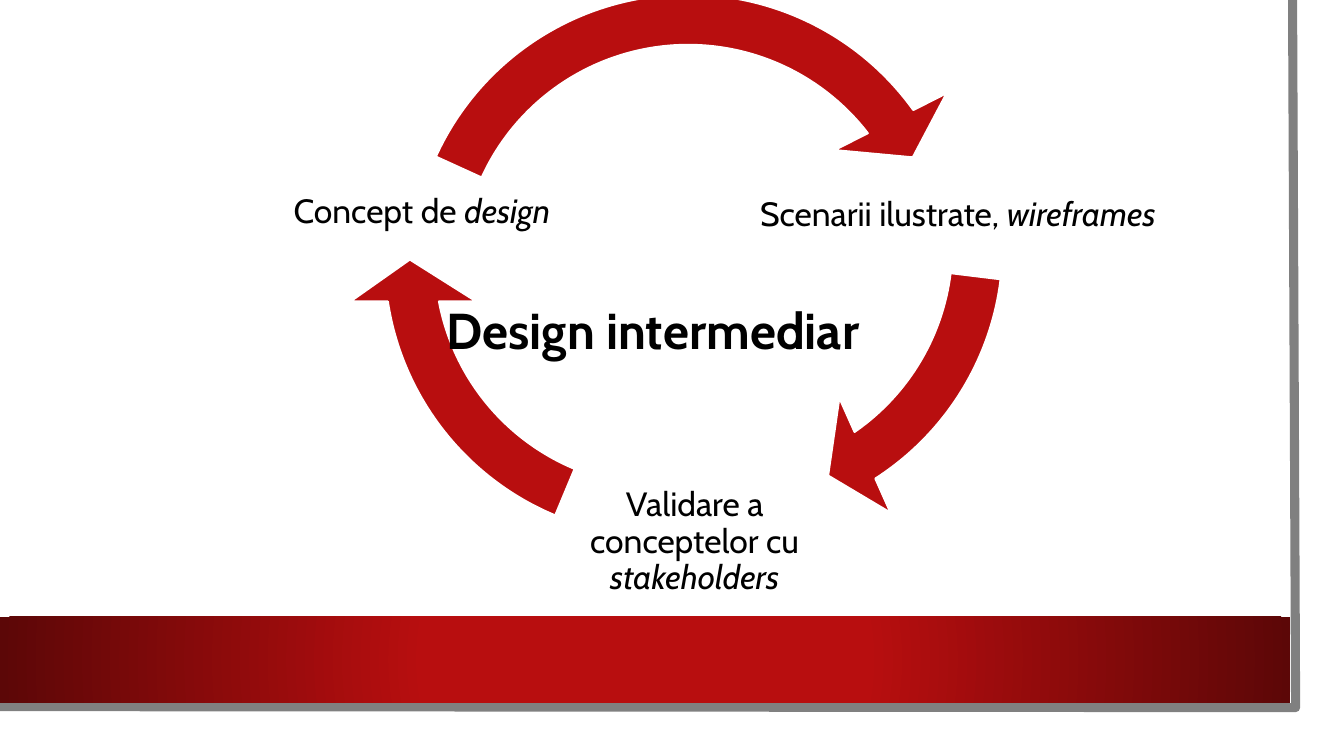
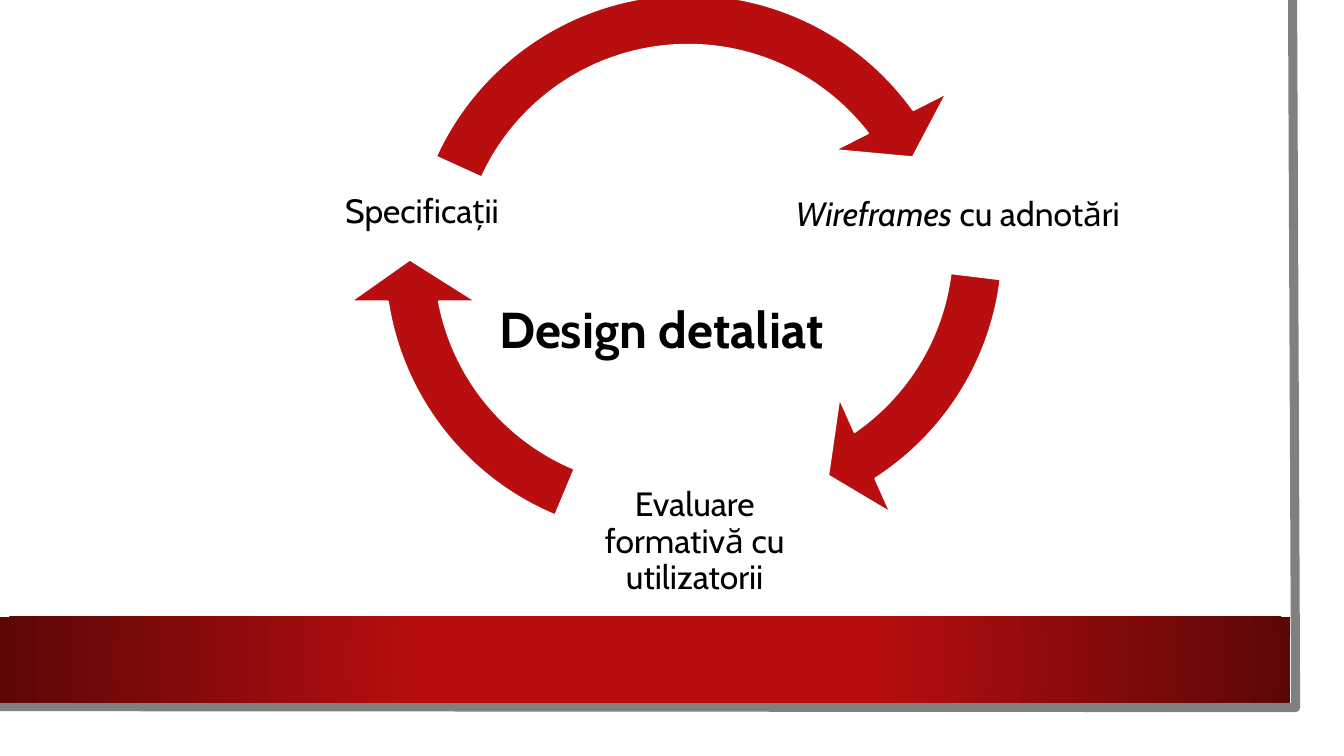
from dataclasses import dataclass

from lxml import etree
from pptx import Presentation
from pptx.dml.color import RGBColor
from pptx.enum import shapes, text
from pptx.oxml import ns
from pptx.util import Inches, Pt


@dataclass(frozen=True)
class Theme:
    font: str = "Cabin"
    paper: RGBColor = RGBColor.from_string("FFFFFF")
    ink: RGBColor = RGBColor.from_string("000000")
    red: RGBColor = RGBColor.from_string("B80E0F")
    dark_red: RGBColor = RGBColor.from_string("5C0707")
    edge: RGBColor = RGBColor.from_string("808080")
    title_size: float = 36
    label_size: float = 24


theme = Theme()


def write(box, words, size=theme.label_size, bold=False, inset=0.03,
          align=text.PP_ALIGN.CENTER, anchor=text.MSO_ANCHOR.MIDDLE):
    """Fill a box with one paragraph; words between asterisks are italic."""
    frame = box.text_frame
    frame.word_wrap = True
    frame.auto_size = text.MSO_AUTO_SIZE.NONE
    frame.vertical_anchor = anchor
    frame.margin_left = frame.margin_right = Inches(inset)
    frame.margin_top = frame.margin_bottom = Inches(min(inset, 0.05))
    para = frame.paragraphs[0]
    para.alignment = align
    para.line_spacing = 0.9
    for index, part in enumerate(words.split("*")):
        if part:
            span = para.add_run()
            span.text = part
            span.font.name = theme.font
            span.font.size = Pt(size)
            span.font.bold = bold
            span.font.italic = index % 2 == 1
            span.font.color.rgb = theme.ink


def add_block(page, kind, left, top, width, height, color):
    block = page.shapes.add_shape(
        kind, Inches(left), Inches(top), Inches(width), Inches(height))
    block.shadow.inherit = False
    block.fill.solid()
    block.fill.fore_color.rgb = color
    block.line.fill.background()
    return block


deck = Presentation()
deck.slide_width, deck.slide_height = Inches(13.33), Inches(7.5)
layout = deck.slide_layouts[5]

cycles = [
    {"title": "Design intermediar", "title_at": (4.33, 2.58),
     "labels": ["Scenarii ilustrate, *wireframes*",
                "Validare a conceptelor cu *stakeholders*",
                "Concept de *design*"]},
    {"title": "Design detaliat", "title_at": (4.85, 2.57),
     "labels": ["*Wireframes* cu adnotări",
                "Evaluare formativă cu utilizatorii",
                "Specificații"]},
]
label_places = [(7.05, 1.53, 4.9, 1.21), (5.57, 4.7, 2.64, 1.36), (2.56, 1.63, 3.25, 0.95)]

# left, top, end angle and start angle in degrees
arrow_size = 6.25
arrows = [(4.07, -0.69, 56.38, 7.01), (3.44, -0.55, 170.42, 112.62), (3.7, -0.43, 323.45, 204.51)]
head_angle = 9.59
degree = 0.6  # one degree as an adjustment value

pages = [deck.slides.add_slide(layout) for cycle in cycles]

# Shared frame: drawn once, then moved to the layout
first = pages[0]
paper = add_block(first, shapes.MSO_SHAPE.RECTANGLE, 0, 0, 13.1, 7.27, theme.paper)

builder = first.shapes.build_freeform(Inches(12.82), 0)
builder.add_line_segments(
    [(Inches(12.85), Inches(7.02)), (Inches(-0.03), Inches(7.01))], close=False)
edge = builder.convert_to_shape()
edge.shadow.inherit = False
edge.fill.background()
edge.line.color.rgb = theme.edge
edge.line.width = Pt(6.5)

band = add_block(first, shapes.MSO_SHAPE.RECTANGLE, 0, 6.12, 12.8, 0.85, theme.red)
band.fill.gradient()
stops = band.fill.gradient_stops
for stop, color, position in zip(stops, (theme.red, theme.dark_red), (0.34, 1)):
    stop.color.rgb = color
    stop.position = position
gradient = band.element.spPr.find(ns.qn("a:gradFill"))
gradient.remove(gradient.find(ns.qn("a:lin")))
circle = etree.SubElement(gradient, ns.qn("a:path"), path="circle")
etree.SubElement(circle, ns.qn("a:fillToRect"), l="50000", t="50000", r="50000", b="50000")

for index, part in enumerate((paper, edge, band)):
    layout.shapes.element.insert(2 + index, part.element)

for page, cycle in zip(pages, cycles):
    for words, place, (left, top, end, start) in zip(cycle["labels"], label_places, arrows):
        label = page.shapes.add_textbox(*map(Inches, place))
        write(label, words)
        arrow = add_block(page, shapes.MSO_SHAPE.CIRCULAR_ARROW,
                          left, top, arrow_size, arrow_size, theme.red)
        arrow.line.color.rgb = theme.paper
        arrow.line.width = Pt(1.5)
        values = (0.08, head_angle * degree, end * degree, start * degree, 0.1)
        for index, value in enumerate(values):
            arrow.adjustments[index] = value

    title = page.shapes.title
    title.left, title.top = map(Inches, cycle["title_at"])
    title.width, title.height = Inches(5.48), Inches(1.05)
    write(title, cycle["title"], size=theme.title_size, bold=True, inset=0.1,
          align=text.PP_ALIGN.LEFT, anchor=text.MSO_ANCHOR.BOTTOM)
    page.shapes.element.append(title.element)

deck.save("out.pptx")
